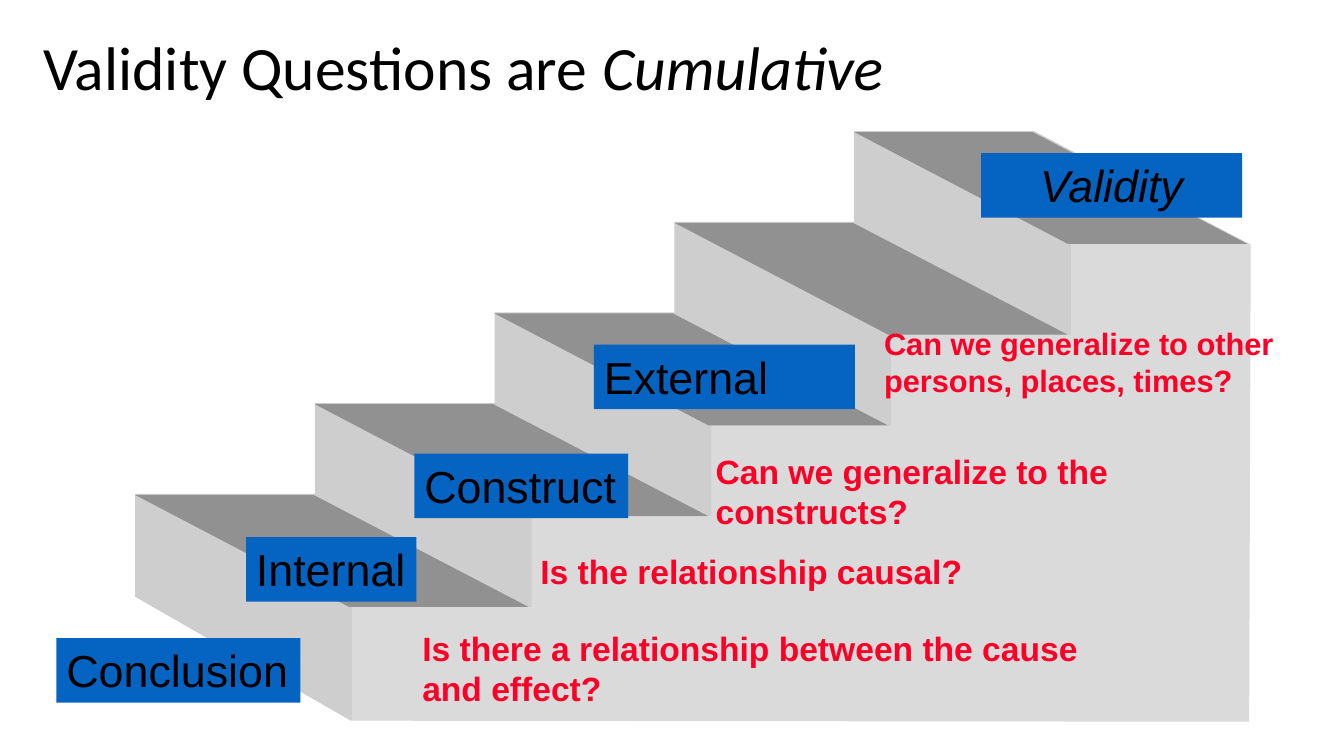
from lxml import etree
from pptx import Presentation
from pptx.dml.color import RGBColor
from pptx.enum.shapes import MSO_SHAPE
from pptx.enum.text import MSO_ANCHOR, PP_ALIGN
from pptx.oxml.ns import qn
from pptx.util import Inches, Pt

RECTANGLE = MSO_SHAPE.RECTANGLE
MIDDLE, TOP = MSO_ANCHOR.MIDDLE, MSO_ANCHOR.TOP
LEFT, CENTER = PP_ALIGN.LEFT, PP_ALIGN.CENTER
COLORS = {"side": "CECECE", "front": "DADADA", "tread": "919191",
          "label": "0563C1", "question": "FC0128", "text": "000000"}
STEPS = 5
RUN, RISE = 1.783, 0.9


def add_face(page, points, color):
    """Draw one closed face of the staircase, with points in inches."""
    corners = [(Inches(x), Inches(y)) for x, y in points]
    builder = page.shapes.build_freeform(*corners[0], scale=1.0)
    builder.add_line_segments(corners[1:], close=True)
    face = builder.convert_to_shape()
    face.shadow.inherit = False
    face.fill.solid()
    face.fill.fore_color.rgb = RGBColor.from_string(COLORS[color])
    face.line.fill.background()


def add_span(para, text, font, size, color, bold=False, italic=False):
    span = para.add_run()
    span.text = text
    span.font.name = font
    span.font.size = Pt(size)
    span.font.bold = bold
    span.font.italic = italic
    span.font.color.rgb = RGBColor.from_string(COLORS[color])
    return span


deck = Presentation()
deck.slide_width, deck.slide_height = Inches(13.33), Inches(7.5)
page = deck.slides.add_slide(deck.slide_layouts[5])

# Title with a text shadow
title = page.shapes.title
title.left, title.top = Inches(0.33), Inches(0.08)
title.width, title.height = Inches(12.67), Inches(1.25)
title.text_frame.vertical_anchor = MIDDLE
para = title.text_frame.paragraphs[0]
para.alignment = LEFT
para.line_spacing = 0.9
for text, italic in [("Validity Questions are ", False), ("Cumulative", True)]:
    span = add_span(para, text, "Calibri", 44, "text", italic=italic)
    effects = etree.Element(qn("a:effectLst"))
    shadow = etree.SubElement(effects, qn("a:outerShdw"), dist="38100", dir="2700000")
    etree.SubElement(shadow, qn("a:srgbClr"), val="000000")
    span.font.fill._xPr.find(qn("a:solidFill")).addnext(effects)

# Staircase: side, front, then the treads
side = [(3.48, 7.15), (1.34, 5.92)]
front = [(12.39, 7.16), (3.49, 7.15)]
for step in range(STEPS):
    for outline, x, y in [(side, 1.34, 4.9), (front, 3.49, 6.02)]:
        left, top = x + step * RUN, y - step * RISE
        outline += [(left, top), (left + RUN, top)]
add_face(page, side + [(12.39, 2.42)], "side")
add_face(page, front, "front")
for step in range(STEPS):
    left, top = 1.34 + step * RUN, 4.91 - step * RISE
    add_face(page, [(left, top), (left + 1.77, top),
                    (left + 3.9, top + 1.11), (left + 2.12, top + 1.11)], "tread")

# Questions beside the steps
questions = [
    ("Is there a relationship between the cause and effect?", 4.09, 6.18, 7.24, 0.91, 24),
    ("Is the relationship causal?", 5.26, 5.42, 4.42, 0.5, 24),
    ("Can we generalize to the constructs?", 7, 4.42, 5.02, 0.91, 24),
    ("Can we generalize to other persons, places, times?", 8.67, 3.17, 4.3, 0.84, 22),
]
for text, left, top, width, height, size in questions:
    box = page.shapes.add_textbox(Inches(left), Inches(top), Inches(width), Inches(height))
    box.text_frame.word_wrap = True
    para = box.text_frame.paragraphs[0]
    add_span(para, text, "Arial", size, "question", bold=True)

# Validity labels on the steps
labels = [
    ("External", 5.89, 3.42, 2.59),
    ("Validity", 9.73, 1.52, 2.59),
    ("Conclusion", 0.56, 6.33, 2.42),
    ("Internal", 2.44, 5.33, 1.69),
    ("Construct", 4.11, 4.5, 2.12),
]
for text, left, top, width in labels:
    label = page.shapes.add_shape(RECTANGLE, Inches(left), Inches(top),
                                  Inches(width), Inches(0.64))
    label.shadow.inherit = False
    label.fill.solid()
    label.fill.fore_color.rgb = RGBColor.from_string(COLORS["label"])
    label.line.fill.background()
    label.text_frame.word_wrap = False
    label.text_frame.vertical_anchor = TOP
    para = label.text_frame.paragraphs[0]
    is_goal = text == "Validity"
    para.alignment = CENTER if is_goal else LEFT
    add_span(para, text, "Arial", 32, "text", italic=is_goal)

deck.save("out.pptx")
